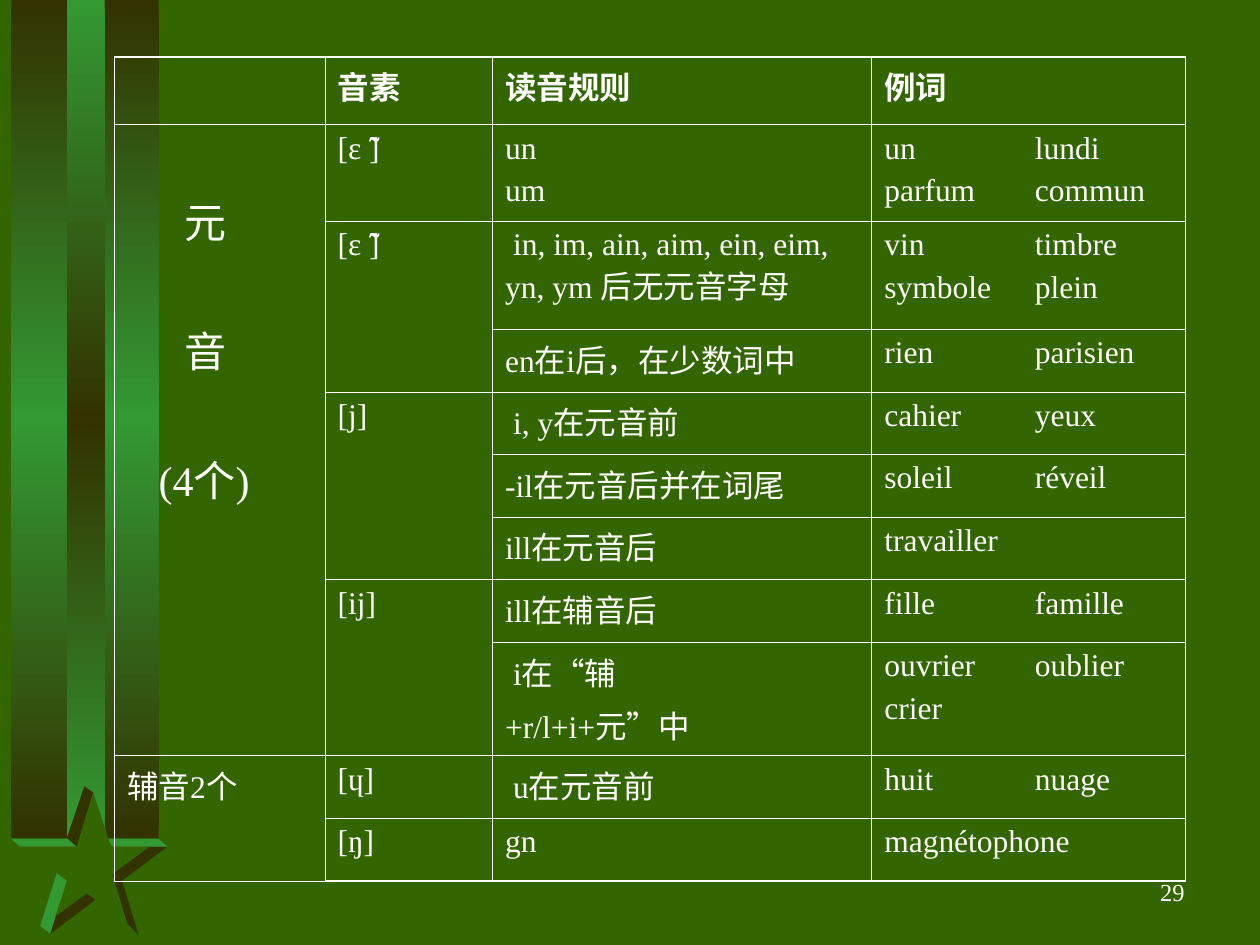
from copy import deepcopy
from dataclasses import dataclass

from pptx import Presentation
from pptx.dml.color import RGBColor
from pptx.enum.text import MSO_ANCHOR, PP_ALIGN
from pptx.oxml.ns import qn
from pptx.oxml.xmlchemy import OxmlElement
from pptx.util import Pt

GREEN, BRIGHT, BROWN, WHITE = "336600", "339933", "333300", "FFFFFF"
FONT = "Times New Roman"
COLUMN_WIDTHS = (120.2, 95.8, 216.7, 179.3)
HEADINGS = ("", "音素", "读音规则", "例词")
EXAMPLE_TAB = 86


@dataclass
class Band:
    left: float
    width: float
    edge: str
    middle: str


@dataclass
class Facet:
    color: str
    points: tuple


@dataclass
class Rule:
    """One table row; an empty phoneme continues the one above."""
    phoneme: str
    spelling: str
    examples: str
    height: float = 35.8


BANDS = (Band(6.5, 84.2, BROWN, BRIGHT), Band(38.2, 21.6, BRIGHT, BROWN))
BAND_HEIGHT = 478.8

STAR = (
    Facet(BROWN, ((64.8, 499), (69.8, 503.3), (95.8, 483.8), (85.7, 483.8))),
    Facet(BRIGHT, ((6.5, 479.5), (11.5, 483.8), (44.6, 483.8), (38.9, 479.5))),
    Facet(BROWN, ((43.9, 483.8), (53.3, 452.9), (48.2, 449.3), (38.2, 478.8))),
    Facet(BRIGHT, ((64.1, 483.8), (61.9, 479.5), (90.7, 479.5), (95.8, 483.8))),
    Facet(BROWN, ((23.8, 529.2), (28.8, 533.5), (54.7, 514.1), (49.7, 510.5))),
    Facet(BROWN, ((72.7, 527.8), (79.2, 534.2), (69.8, 503.3), (64.1, 499))),
    Facet(BRIGHT, ((28.8, 533.5), (38.2, 503.3), (32.4, 499), (23, 529.2))),
    Facet(GREEN, ((53.3, 452.9), (43.9, 483.8), (11.5, 483.8), (38.9, 503.3),
                  (31.7, 523.4), (49.7, 510.5), (72.7, 527.8), (64.1, 499.7),
                  (85, 483.8), (63.4, 483.8))),
)

VOWELS = (
    Rule("[ɛ *̃*]", "un\num", "un\tlundi\nparfum\tcommun", 55),
    Rule("[ɛ *̃*]", " in, im, ain, aim, ein, eim, yn, ym 后无元音字母",
         "vin\ttimbre\nsymbole\tplein", 61.9),
    Rule("", "en在i后，在少数词中", "rien\tparisien"),
    Rule("[j]", " i, y在元音前", "cahier\tyeux"),
    Rule("", "-il在元音后并在词尾", "soleil\tréveil"),
    Rule("", "ill在元音后", "travailler"),
    Rule("[ij]", "ill在辅音后", "fille\tfamille"),
    Rule("", " i在“辅\n+r/l+i+元”中", "ouvrier\toublier\ncrier", 64.8),
)
CONSONANTS = (
    Rule("[ɥ]", " u在元音前", "huit\tnuage"),
    Rule("[ŋ]", "gn", "magnétophone"),
)


def rgb(value: str) -> RGBColor:
    return RGBColor.from_string(value)


def write(frame, text: str, *, size: float = 18, bold: bool = False, gap: float = 4.5,
          indents: tuple = (), tab: float = 0, align=None) -> None:
    """Write one paragraph per line; parts between asterisks are bold."""
    for index, line in enumerate(text.split("\n")):
        paragraph = frame.add_paragraph() if index else frame.paragraphs[0]
        properties = paragraph._p.get_or_add_pPr()
        if indents:
            properties.set("marL", str(Pt(indents[index])))
        if "\t" in line:
            stops = OxmlElement("a:tabLst")
            stop = OxmlElement("a:tab")
            stop.set("pos", str(Pt(tab)))
            stop.set("algn", "l")
            stops.append(stop)
            properties.append(stops)
        if index:
            paragraph.space_before = Pt(gap)
        paragraph.alignment = align
        for part_index, part in enumerate(line.split("*")):
            run = paragraph.add_run()
            run.text = part
            run.font.name = FONT
            run.font.size = Pt(size)
            run.font.bold = bold or part_index % 2 == 1
            run.font.color.rgb = rgb(WHITE)


def draw_band(shapes, band: Band) -> None:
    stripe = shapes.add_shape(1, Pt(band.left), Pt(0), Pt(band.width), Pt(BAND_HEIGHT))
    stripe.shadow.inherit = False
    stripe.line.fill.background()
    stripe.fill.gradient()
    stripe.fill.gradient_angle = 90
    stop_list = stripe._element.spPr.find(qn("a:gradFill")).find(qn("a:gsLst"))
    stop_list.insert(1, deepcopy(stop_list[0]))
    colors = (band.edge, band.middle, band.edge)
    for stop, position, color in zip(stripe.fill.gradient_stops, (0, 0.5, 1), colors):
        stop.position = position
        stop.color.rgb = rgb(color)


def draw_facet(shapes, facet: Facet) -> None:
    start, *others = [(Pt(x), Pt(y)) for x, y in facet.points]
    builder = shapes.build_freeform(*start)
    builder.add_line_segments(others, close=True)
    outline = builder.convert_to_shape()
    outline.shadow.inherit = False
    outline.fill.solid()
    outline.fill.fore_color.rgb = rgb(facet.color)
    outline.line.fill.background()


def add_border(cell, side: str, width: float) -> None:
    line = OxmlElement(f"a:ln{side}")
    line.set("w", str(Pt(width)))
    fill = OxmlElement("a:solidFill")
    color = OxmlElement("a:srgbClr")
    color.set("val", WHITE)
    fill.append(color)
    line.append(fill)
    cell._tc.get_or_add_tcPr().append(line)


def format_grid(table) -> None:
    """Clear the cell fills and draw a heavier line round the outside."""
    last_row, last_column = len(table.rows) - 1, len(table.columns) - 1
    for row in range(last_row + 1):
        for column in range(last_column + 1):
            cell = table.cell(row, column)
            outer = {"L": column == 0, "R": column == last_column,
                     "T": row == 0, "B": row == last_row}
            for side, is_outer in outer.items():
                add_border(cell, side, 1.08 if is_outer else 0.45)
            cell.fill.background()


def draw_sound_table(shapes) -> None:
    rules = VOWELS + CONSONANTS
    heights = [38.9] + [rule.height for rule in rules]
    table = shapes.add_table(len(heights), len(COLUMN_WIDTHS), Pt(65.5), Pt(32.4),
                             Pt(sum(COLUMN_WIDTHS)), Pt(sum(heights))).table
    table.first_row = table.horz_banding = False
    for column, width in zip(table.columns, COLUMN_WIDTHS):
        column.width = Pt(width)
    for row, height in zip(table.rows, heights):
        row.height = Pt(height)
    format_grid(table)

    for column, heading in enumerate(HEADINGS):
        if heading:
            write(table.cell(0, column).text_frame, heading, bold=True)

    for row, rule in enumerate(rules, 1):
        if rule.phoneme:
            end = row
            while end < len(rules) and not rules[end].phoneme:
                end += 1
            phoneme = table.cell(row, 1)
            if end > row:
                phoneme.merge(table.cell(end, 1))
            write(phoneme.text_frame, rule.phoneme)
        write(table.cell(row, 2).text_frame, rule.spelling)
        write(table.cell(row, 3).text_frame, rule.examples, tab=EXAMPLE_TAB)

    vowels = table.cell(1, 0)
    vowels.merge(table.cell(len(VOWELS), 0))
    vowels.margin_top = Pt(37)
    write(vowels.text_frame, "元\n音\n(4个)", size=24, gap=39, indents=(32.5, 32.5, 18))
    consonants = table.cell(len(VOWELS) + 1, 0)
    consonants.merge(table.cell(len(rules), 0))
    write(consonants.text_frame, "辅音2个")


def main() -> None:
    deck = Presentation()
    deck.slide_width, deck.slide_height = Pt(720), Pt(540)
    slide = deck.slides.add_slide(deck.slide_layouts[6])
    slide.background.fill.solid()
    slide.background.fill.fore_color.rgb = rgb(GREEN)
    for band in BANDS:
        draw_band(slide.shapes, band)
    for facet in STAR:
        draw_facet(slide.shapes, facet)
    draw_sound_table(slide.shapes)
    page_number = slide.shapes.add_textbox(Pt(534.2), Pt(491.8), Pt(149.8), Pt(36)).text_frame
    page_number.word_wrap = True
    page_number.vertical_anchor = MSO_ANCHOR.MIDDLE
    write(page_number, "29", size=14, align=PP_ALIGN.RIGHT)
    deck.save("out.pptx")


if __name__ == "__main__":
    main()
